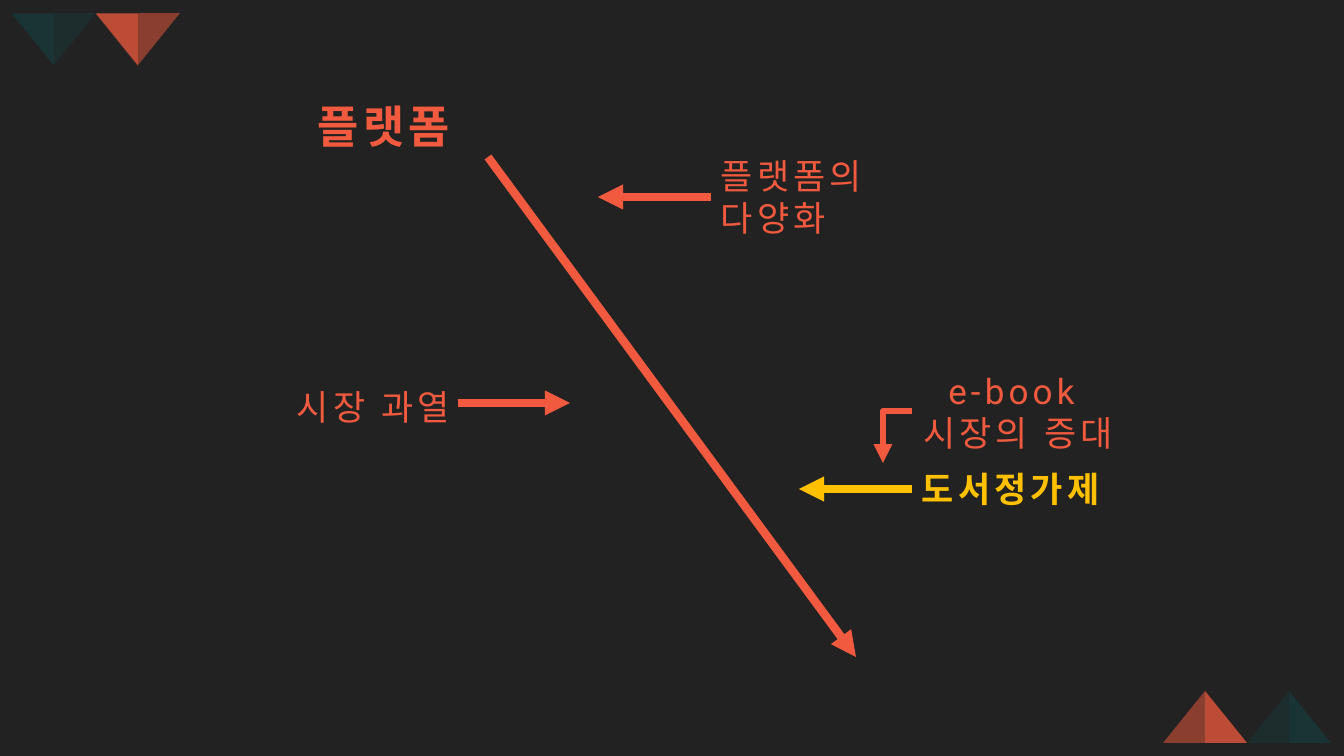
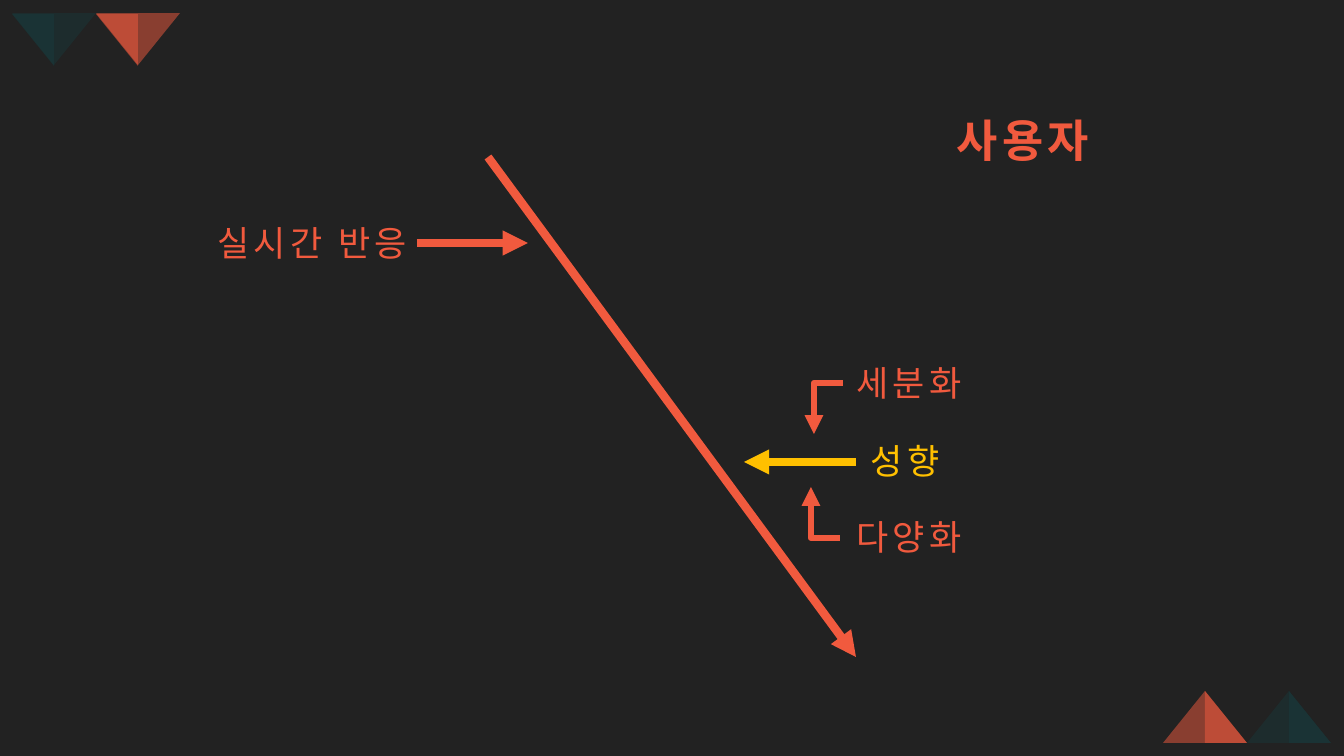
from lxml import etree
from pptx import Presentation
from pptx.dml.color import RGBColor
from pptx.enum.shapes import MSO_CONNECTOR as Link, MSO_SHAPE as Shape
from pptx.enum.text import MSO_ANCHOR as Anchor, MSO_AUTO_SIZE as AutoSize, PP_ALIGN as Align
from pptx.oxml.ns import qn
from pptx.util import Emu, Pt

COLORS = {"dark": "222222", "coral": "F15A3E", "teal": "193739", "gold": "FFC000"}
FONT = "Roboto"
SLIDE_SIZE = (1344, 756)
PEAK_WIDTH, PEAK_HEIGHT = 84, 52


def px(length):
    return Emu(round(length * 12192000 / 1344))


def rgb(color):
    return RGBColor.from_string(COLORS[color])


# Text
def write(frame, lines, color, size, bold, align):
    frame.word_wrap = True
    frame.vertical_anchor = Anchor.MIDDLE
    frame.text = "\n".join(lines)
    for paragraph in frame.paragraphs:
        paragraph.alignment = align
        font = paragraph.font
        font.name, font.size, font.bold = FONT, Pt(size), bold
        font.color.rgb = rgb(color)
        paragraph._p.pPr.find(qn("a:defRPr")).set("spc", "300")


def set_title(slide, text, left, top):
    title = slide.shapes.title
    title.left, title.top, title.width, title.height = map(px, (left, top, 172, 65))
    write(title.text_frame, [text], "coral", 32, True, Align.CENTER)
    title.text_frame.auto_size = AutoSize.NONE


def add_label(slide, lines, box, color="coral", bold=False, align=Align.LEFT):
    label = slide.shapes.add_textbox(*map(px, box))
    write(label.text_frame, lines, color, 25, bold, align)
    label.text_frame.auto_size = AutoSize.SHAPE_TO_FIT_TEXT
    return label


# Arrows
def add_arrow(slide, start, end, color="coral", width=6, kind=Link.STRAIGHT):
    arrow = slide.shapes.add_connector(kind, *map(px, start + end))
    arrow.line.color.rgb = rgb(color)
    arrow.line.width = Pt(width)
    etree.SubElement(arrow.line._get_or_add_ln(), qn("a:tailEnd"), type="triangle")
    etree.SubElement(arrow.element.spPr, qn("a:effectLst"))
    return arrow


def add_bent_arrow(slide, start, end):
    arrow = add_arrow(slide, start, end, width=4.5, kind=Link.ELBOW)
    arrow.element.spPr.find(qn("a:prstGeom")).set("prst", "bentConnector2")


def add_main_arrow(slide):
    add_arrow(slide, (488, 157), (856, 657))


# Shared background and corner peaks
def add_face(slide, kind, box, color, opacity, rotation):
    face = slide.shapes.add_shape(kind, *map(px, box))
    face.shadow.inherit = False
    face.rotation = rotation
    face.line.fill.background()
    face.fill.solid()
    face.fill.fore_color.rgb = rgb(color)
    tint = face.element.spPr.find(".//" + qn("a:srgbClr"))
    etree.SubElement(tint, qn("a:alpha"), val=str(opacity * 1000))
    return face


def add_peak(slide, left, top, color, shade_opacity, inverted):
    half = PEAK_WIDTH // 2
    rotation = 180 if inverted else 0
    shade_left = left if inverted else left + half
    shade_top = top + 1 if inverted else top
    return [
        add_face(slide, Shape.ISOSCELES_TRIANGLE,
                 (left, top, PEAK_WIDTH, PEAK_HEIGHT), color, 50, rotation),
        add_face(slide, Shape.RIGHT_TRIANGLE,
                 (shade_left, shade_top, half, PEAK_HEIGHT), color, shade_opacity, rotation),
    ]


def prepare_layout(prs, layout, slide):
    """Give the layout its background and peaks, drawn by way of a slide."""
    prs.slide_master.background.fill.solid()
    prs.slide_master.background.fill.fore_color.rgb = rgb("dark")
    for placeholder in list(layout.placeholders)[1:]:
        layout.shapes.element.remove(placeholder.element)
    corners = [(12, 13, ("teal", "coral"), True), (1163, 691, ("coral", "teal"), False)]
    for left, top, pair, inverted in corners:
        for index, color in enumerate(pair):
            opacity = 70 if color == "teal" else 50
            peak_left = left + index * PEAK_WIDTH
            for face in add_peak(slide, peak_left, top, color, opacity, inverted):
                layout.shapes.element.append(face.element)


# Slides
def build_platform(slide):
    set_title(slide, "플랫폼", 298, 93)
    add_main_arrow(slide)

    variety = add_label(slide, ["플랫폼의 다양화"], (711, 171, 282, 52))
    add_arrow(slide, (711, 197), (598, 197)).begin_connect(variety, 1)

    pricing = add_label(slide, ["도서정가제"], (912, 463, 313, 52), "gold", bold=True)
    add_arrow(slide, (912, 489), (799, 489), "gold").begin_connect(pricing, 1)

    add_label(slide, ["시장 과열"], (171, 381, 289, 52), align=Align.RIGHT)
    add_arrow(slide, (458, 403), (570, 403))

    add_label(slide, ["e-book ", "시장의 증대"], (912, 364, 212, 95), align=Align.CENTER)
    add_bent_arrow(slide, (912, 411), (883, 463))


def build_user(slide):
    set_title(slide, "사용자", 937, 107)
    add_main_arrow(slide)

    reaction = add_label(slide, ["실시간 반응"], (128, 217, 289, 52), align=Align.RIGHT)
    add_arrow(slide, (417, 243), (528, 243)).begin_connect(reaction, 3)

    add_label(slide, ["성향"], (861, 435, 132, 52), "gold")
    add_arrow(slide, (856, 462), (744, 462), "gold")

    add_label(slide, ["세분화"], (843, 357, 132, 52), align=Align.CENTER)
    add_bent_arrow(slide, (843, 383), (814, 434))

    add_label(slide, ["다양화"], (843, 511, 132, 52), align=Align.CENTER)
    add_bent_arrow(slide, (840, 538), (811, 487))


def main():
    prs = Presentation()
    prs.slide_width, prs.slide_height = map(px, SLIDE_SIZE)
    layout = prs.slide_layouts[5]
    platform, user = (prs.slides.add_slide(layout) for _ in range(2))
    prepare_layout(prs, layout, platform)
    build_platform(platform)
    build_user(user)
    prs.save("out.pptx")


if __name__ == "__main__":
    main()
